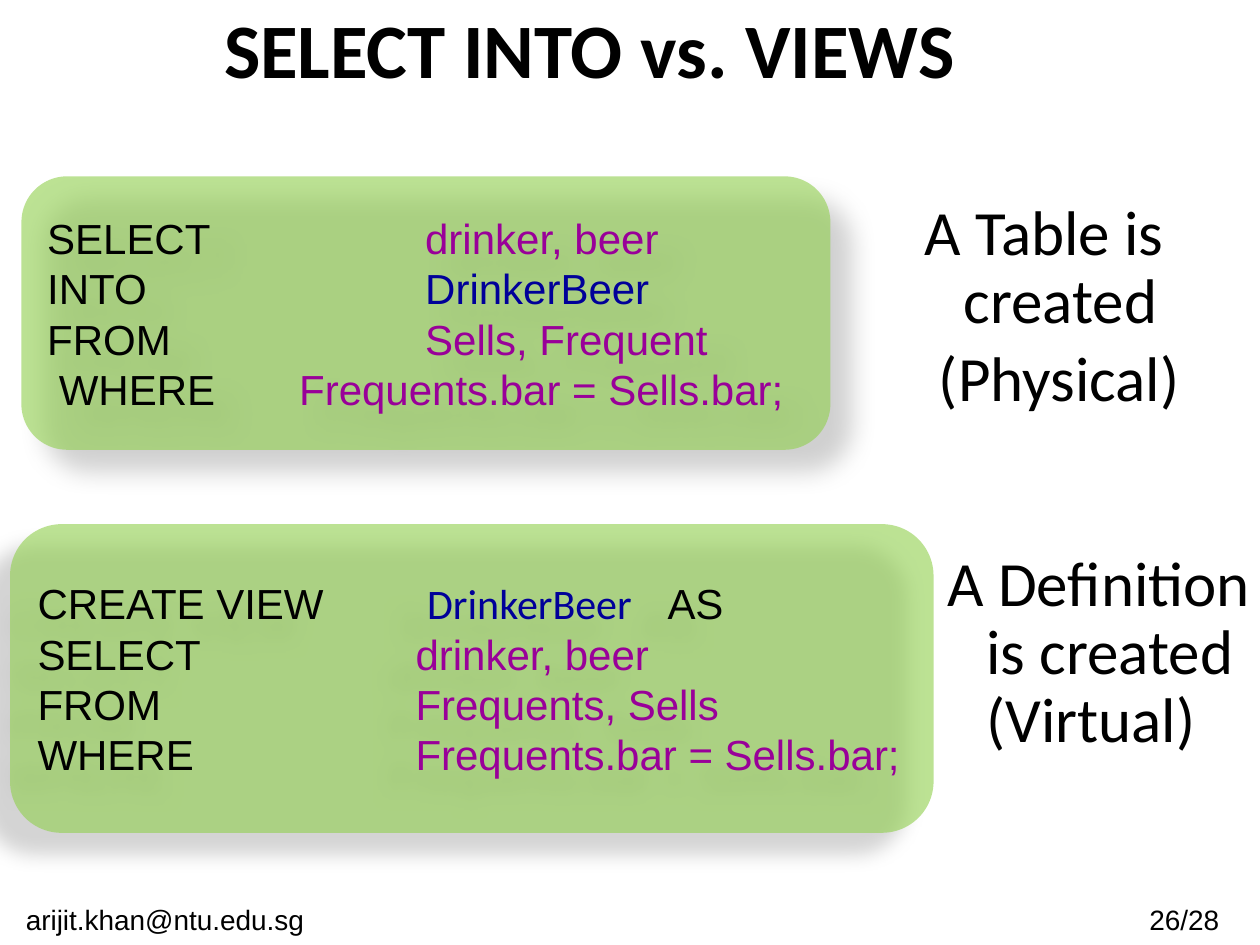
"""Builds a slide that compares SELECT INTO with VIEWS in SQL."""
from lxml import etree
from pptx import Presentation, util as u
from pptx.dml.color import RGBColor
from pptx.enum import shapes, text
from pptx.oxml import ns

THEME = {
    "keyword": "000000", "column": "990099", "table": "000099",
    "panel": "92D050", "shadow": "000000", "panel_alpha": 61,
    "title_size": 44, "note_size": 36, "code_size": 24, "footer_size": 16,
    "heading_font": "Calibri", "body_font": "Arial",
}


def add_element(parent, tag, **attributes):
    element = etree.SubElement(parent, ns.qn(tag))
    for name, value in attributes.items():
        element.set(name, str(value))
    return element


def write_paragraph(paragraph, runs, size, font):
    for content, color, *other_font in runs:
        run = paragraph.add_run()
        run.text = content
        formats = {"size": u.Pt(THEME[size]), "name": THEME[(other_font or [font])[0]]}
        for name, value in formats.items():
            setattr(run.font, name, value)
        run.font.color.rgb = RGBColor.from_string(THEME[color])


presentation = Presentation()
presentation.slide_width, presentation.slide_height = u.Inches(10), u.Inches(7.5)
slide = presentation.slides.add_slide(presentation.slide_layouts[5])

title = slide.shapes.title
title_box = {"left": 0.25, "top": 0, "width": 9, "height": 0.75}
for name, value in title_box.items():
    setattr(title, name, u.Inches(value))
title.text_frame.vertical_anchor = text.MSO_ANCHOR.MIDDLE
title.text_frame.auto_size = text.MSO_AUTO_SIZE.NONE
heading = title.text_frame.paragraphs[0]
heading.alignment = text.PP_ALIGN.CENTER
write_paragraph(heading, [("SELECT INTO vs. VIEWS ", "keyword")], "title_size", "heading_font")
heading.runs[0].font.bold = True

footers = [
    ((8.85, 7.11, 1.16, 0.39), "26/28 "),
    ((0, 7.11, 2.68, 0.39), "arijit.khan@ntu.edu.sg "),
]
for box, content in footers:
    frame = slide.shapes.add_textbox(*map(u.Inches, box)).text_frame
    frame.word_wrap = True
    frame.paragraphs[0].alignment = text.PP_ALIGN.CENTER
    write_paragraph(frame.paragraphs[0], [(content, "keyword")], "footer_size", "body_font")

panels = [
    ((0.17, 1.4, 6.42, 2.17), {"alpha": 30, "blur": 15, "distance": 18, "angle": 45}, [
        ([3], [("SELECT\t", "keyword"), ("drinker, beer", "column")]),
        ([3], [("INTO\t", "keyword"), ("DrinkerBeer", "table")]),
        ([3], [("FROM\t", "keyword"), ("Sells, Frequent", "column")]),
        ([2], [(" WHERE\t", "keyword"), ("Frequents.bar = Sells.bar;", "column")]),
    ]),
    ((0.08, 4.16, 7.33, 2.45), {"alpha": 28, "blur": 11.8, "distance": 19.7, "angle": 141}, [
        ([3, 5], [("CREATE VIEW\t ", "keyword"),
                  ("DrinkerBeer\t", "table", "heading_font"), ("AS", "keyword")]),
        ([3], [("SELECT\t", "keyword"), ("drinker, beer", "column")]),
        ([3], [("FROM\t", "keyword"), ("Frequents, Sells", "column")]),
        ([3], [("WHERE\t", "keyword"), ("Frequents.bar = Sells.bar;", "column")]),
    ]),
]
for box, shadow, lines in panels:
    panel = slide.shapes.add_shape(shapes.MSO_SHAPE.ROUNDED_RECTANGLE, *map(u.Inches, box))
    panel.adjustments[0] = 0.167
    panel.line.fill.background()
    panel.fill.solid()
    panel.fill.fore_color.rgb = RGBColor.from_string(THEME["panel"])
    fill_color = panel.fill._xPr.find(ns.qn("a:solidFill"))[0]
    add_element(fill_color, "a:alpha", val=THEME["panel_alpha"] * 1000)

    panel.shadow.inherit = False
    effects = panel._element.spPr.find(ns.qn("a:effectLst"))
    outer = add_element(effects, "a:outerShdw", blurRad=u.Pt(shadow["blur"]),
                        dist=u.Pt(shadow["distance"]), dir=shadow["angle"] * 60000,
                        algn="tl", rotWithShape=0)
    shadow_color = add_element(outer, "a:srgbClr", val=THEME["shadow"])
    add_element(shadow_color, "a:alpha", val=shadow["alpha"] * 1000)

    frame = panel.text_frame
    frame.word_wrap = False
    frame.vertical_anchor = text.MSO_ANCHOR.MIDDLE
    for index, (stops, runs) in enumerate(lines):
        paragraph = frame.add_paragraph() if index else frame.paragraphs[0]
        paragraph.alignment = text.PP_ALIGN.LEFT
        tab_list = add_element(paragraph._p.get_or_add_pPr(), "a:tabLst")
        for stop in stops:
            add_element(tab_list, "a:tab", pos=u.Inches(stop), algn="l")
        write_paragraph(paragraph, runs, "code_size", "body_font")

notes = [
    ((7.06, 2.23, 3.1, 0.43), ["A Table is created", " (Physical)"]),
    ((7.24, 4.98, 2.93, 0.43), ["A Definition is created (Virtual)"]),
]
note_format = {
    "word_wrap": True, "vertical_anchor": text.MSO_ANCHOR.MIDDLE,
    "margin_left": u.Inches(0.28), "margin_top": u.Inches(0.03),
    "margin_right": u.Inches(0.03), "margin_bottom": u.Inches(0.03),
}
for box, lines in notes:
    frame = slide.shapes.add_textbox(*map(u.Inches, box)).text_frame
    for name, value in note_format.items():
        setattr(frame, name, value)
    for index, content in enumerate(lines):
        paragraph = frame.add_paragraph() if index else frame.paragraphs[0]
        paragraph.line_spacing = 0.9
        paragraph.space_after = u.Pt(0.15 * THEME["note_size"])
        properties = paragraph._p.get_or_add_pPr()
        properties.set("marL", str(u.Inches(0.31)))
        properties.set("indent", str(u.Inches(-0.31)))
        write_paragraph(paragraph, [(content, "keyword")], "note_size", "heading_font")

presentation.save("out.pptx")
